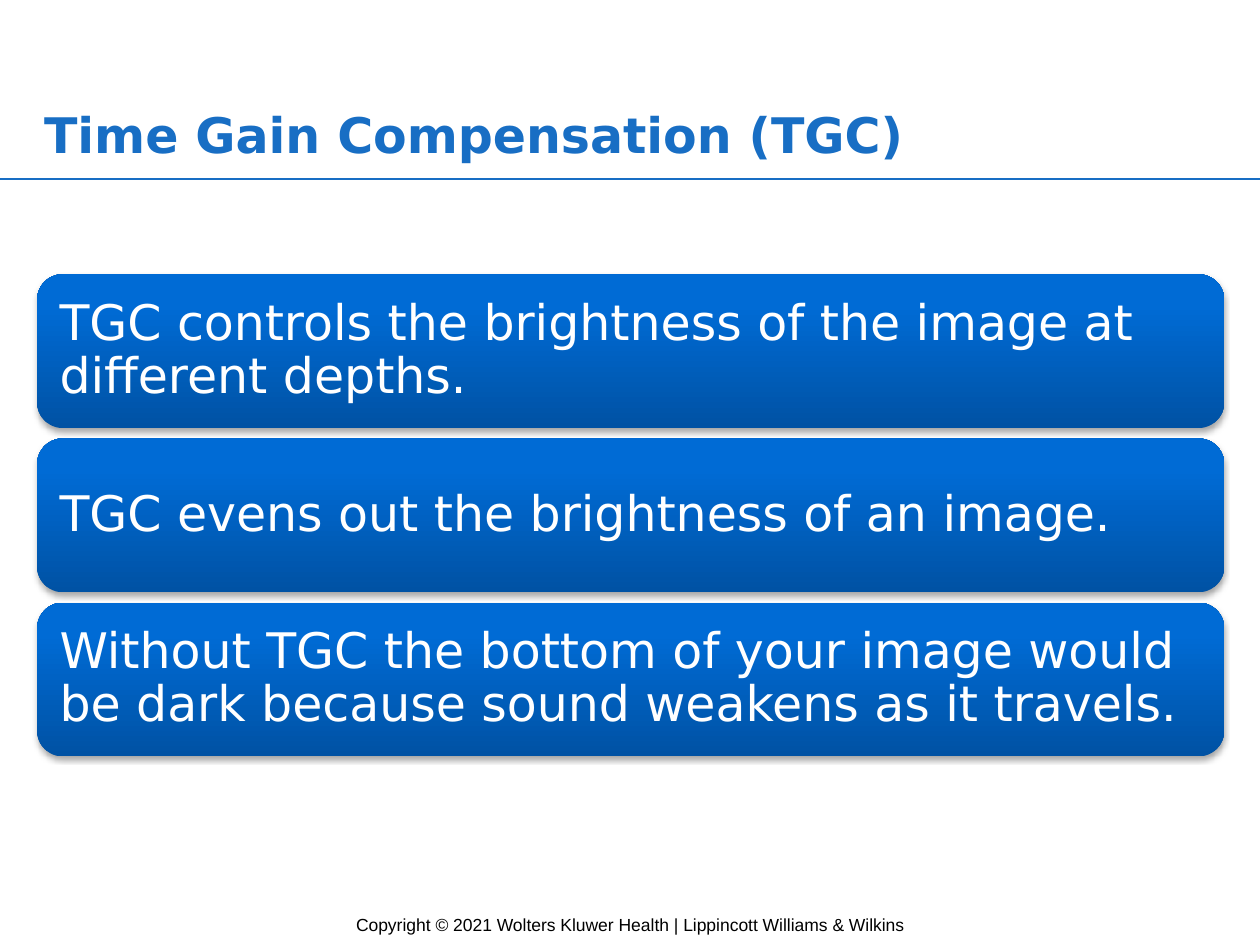
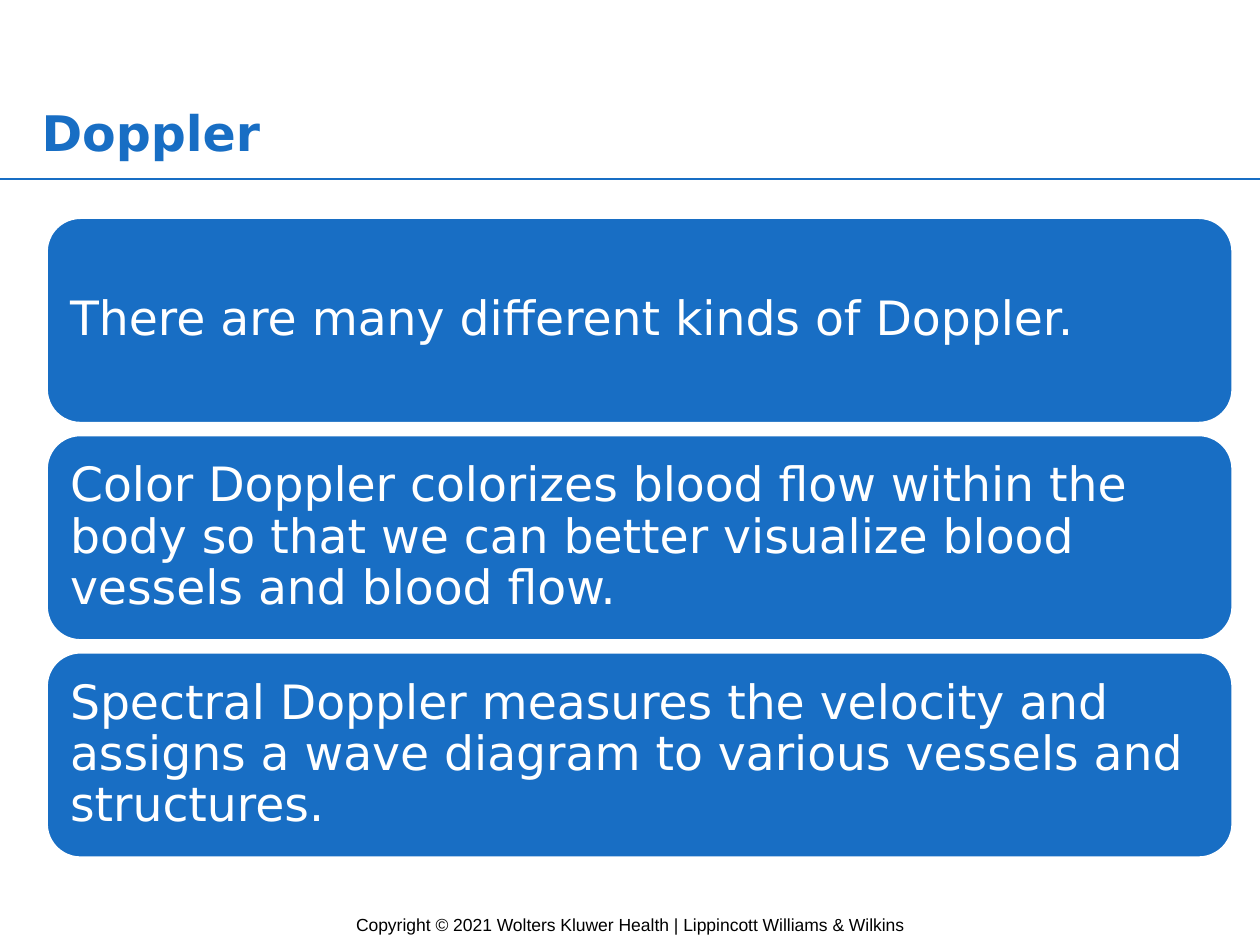
"""Build two ultrasound slides, each a title over a stack of statement panels."""
from lxml.etree import SubElement
from pptx import Presentation
from pptx.dml.color import RGBColor
from pptx.enum.shapes import MSO_CONNECTOR, MSO_SHAPE
from pptx.enum.text import MSO_ANCHOR, MSO_AUTO_SIZE, PP_ALIGN
from pptx.oxml.ns import qn
from pptx.util import Cm, Pt

BLUE = RGBColor(0x18, 0x6E, 0xC4)
DEEP_BLUE = RGBColor(0x00, 0x52, 0xA4)
BRIGHT_BLUE = RGBColor(0x00, 0x6B, 0xD5)
WHITE = RGBColor(0xFF, 0xFF, 0xFF)
BLACK = RGBColor(0x00, 0x00, 0x00)

BODY_FONT = "DejaVu Sans"
FOOTER_FONT = "Arial"
SLIDE_WIDTH, SLIDE_HEIGHT = Cm(25.4), Cm(19.05)
PANEL_WIDTH = Cm(23.93)
TITLE_ONLY = 5
COPYRIGHT = "Copyright © 2021 Wolters Kluwer Health | Lippincott Williams & Wilkins"

GAIN_STATEMENTS = [
    "TGC controls the brightness of the image at different depths.",
    "TGC evens out the brightness of an image.",
    "Without TGC the bottom of your image would be dark because sound "
    "weakens as it travels.",
]
DOPPLER_STATEMENTS = [
    "There are many different kinds of Doppler.",
    "Color Doppler colorizes blood flow within the body so that we can "
    "better visualize blood vessels and blood flow.",
    "Spectral Doppler measures the velocity and assigns a wave diagram to "
    "various vessels and structures.",
]


def write_text(shape, text, *, size, color, font=BODY_FONT, bold=False,
               align=PP_ALIGN.LEFT, anchor=MSO_ANCHOR.MIDDLE,
               inset=Cm(0), line_spacing=0.9):
    """Fill a shape with one formatted paragraph and return its run."""
    frame = shape.text_frame
    frame.word_wrap = True
    frame.auto_size = MSO_AUTO_SIZE.NONE
    frame.vertical_anchor = anchor
    frame.margin_left = frame.margin_right = inset
    frame.margin_top = frame.margin_bottom = inset
    paragraph = frame.paragraphs[0]
    paragraph.alignment = align
    paragraph.line_spacing = line_spacing
    run = paragraph.add_run()
    run.text = text
    run.font.size = Pt(size)
    run.font.bold = bold
    run.font.color.rgb = color
    run.font.name = font
    return run


def add_outer_shadow(effects, *, blur, distance, direction, opacity):
    """Add a black outer shadow to an effect list."""
    shadow = SubElement(effects, qn("a:outerShdw"), blurRad=str(Pt(blur)),
                        dist=str(Pt(distance)), dir=str(direction * 60000),
                        algn="ctr", rotWithShape="0")
    black = SubElement(shadow, qn("a:srgbClr"), val=str(BLACK))
    SubElement(black, qn("a:alpha"), val=str(opacity * 1000))


def add_title(slide, text, left, top):
    """Place the slide title with its hard text shadow."""
    title = slide.shapes.title
    title.left, title.top = left, top
    title.width, title.height = Cm(24), Cm(1.09)
    run = write_text(title, text, size=28, color=BLUE, bold=True,
                     anchor=MSO_ANCHOR.BOTTOM)
    properties = run.font._element
    effects = SubElement(properties, qn("a:effectLst"))
    properties.find(qn("a:solidFill")).addnext(effects)
    add_outer_shadow(effects, blur=0, distance=1.4, direction=45, opacity=100)


def add_title_rule(slide):
    """Draw the thin rule across the slide below the title."""
    rule = slide.shapes.add_connector(MSO_CONNECTOR.STRAIGHT, Cm(0), Cm(3.61),
                                      SLIDE_WIDTH, Cm(3.61))
    rule.line.color.rgb = BLUE
    rule.line.width = Pt(0.75)
    SubElement(rule._element.spPr, qn("a:effectLst"))


def add_footer(slide):
    """Add the centred copyright line at the foot of the slide."""
    footer = slide.shapes.add_textbox(Cm(0), Cm(18.29), SLIDE_WIDTH, Cm(0.76))
    write_text(footer, COPYRIGHT, size=10, color=BLACK, font=FOOTER_FONT,
               align=PP_ALIGN.CENTER, anchor=MSO_ANCHOR.TOP,
               inset=Cm(0.13), line_spacing=1.0)


def style_glossy(panel):
    """Give a panel a vertical gradient and a soft shadow."""
    panel.fill.gradient()
    panel.fill.gradient_angle = 90
    bottom, top = panel.fill.gradient_stops
    bottom.color.rgb, bottom.position = DEEP_BLUE, 0
    top.color.rgb, top.position = BRIGHT_BLUE, 0.8
    panel.line.fill.background()
    effects = panel._element.spPr.find(qn("a:effectLst"))
    add_outer_shadow(effects, blur=3.1, distance=1.8, direction=90, opacity=35)


def style_flat(panel):
    """Give a panel a plain blue fill and a white outline."""
    panel.fill.solid()
    panel.fill.fore_color.rgb = BLUE
    panel.line.color.rgb = WHITE
    panel.line.width = Pt(2)


def add_panels(slide, statements, style, *, left, top, height, pitch, size,
               inset):
    """Stack one rounded panel per statement at an equal pitch."""
    for row, statement in enumerate(statements):
        panel = slide.shapes.add_shape(MSO_SHAPE.ROUNDED_RECTANGLE, left,
                                       top + row * pitch, PANEL_WIDTH, height)
        panel.shadow.inherit = False
        style(panel)
        write_text(panel, statement, size=size, color=WHITE, inset=inset)


def add_content_slide(deck, title, left, top):
    """Add a slide with the shared title, rule and footer."""
    slide = deck.slides.add_slide(deck.slide_layouts[TITLE_ONLY])
    add_footer(slide)
    add_title_rule(slide)
    add_title(slide, title, left, top)
    return slide


def main():
    """Build and save the deck."""
    deck = Presentation()
    deck.slide_width, deck.slide_height = SLIDE_WIDTH, SLIDE_HEIGHT

    gain = add_content_slide(deck, "Time Gain Compensation (TGC)",
                             Cm(0.89), Cm(2.21))
    add_panels(gain, GAIN_STATEMENTS, style_glossy, left=Cm(0.75),
               top=Cm(5.53), height=Cm(3.1), pitch=Cm(3.31), size=28,
               inset=Cm(0.3))

    doppler = add_content_slide(deck, "Doppler", Cm(0.84), Cm(2.18))
    add_panels(doppler, DOPPLER_STATEMENTS, style_flat, left=Cm(0.93),
               top=Cm(4.38), height=Cm(4.16), pitch=Cm(4.38), size=27,
               inset=Cm(0.28))

    deck.save("out.pptx")


if __name__ == "__main__":
    main()
